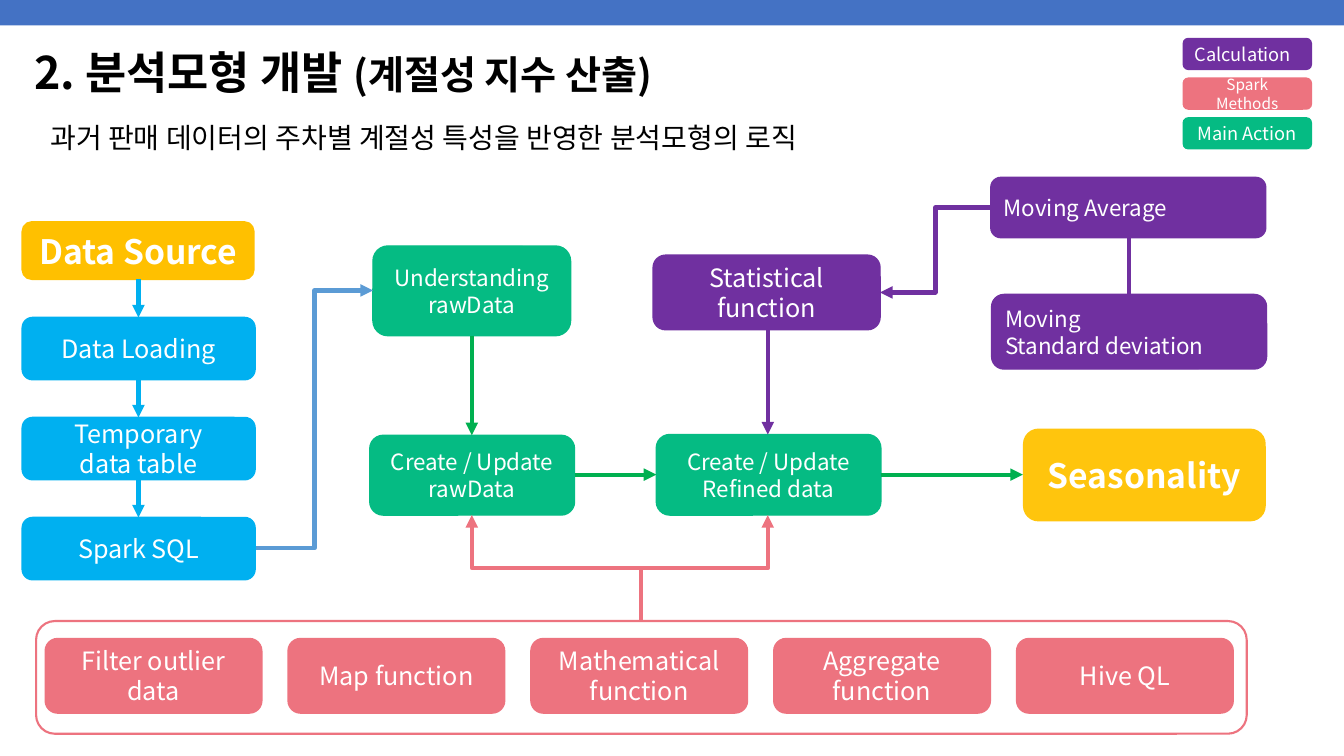
import pptx
import pptx.dml.color
import pptx.enum.shapes
import pptx.enum.text
import pptx.oxml
import pptx.oxml.ns
import pptx.util
from pptx.util import Cm

FONT = "Noto Sans CJK KR"
BLUE, SKY, PALE_BLUE = "4472C4", "00B0F0", "5B9BD5"
PURPLE, PINK, MINT, GREEN = "7030A0", "ED737F", "05BB83", "00B050"
AMBER, GOLD, WHITE, BLACK = "FFC000", "FFC50D", "FFFFFF", "000000"
LEFT = pptx.enum.text.PP_ALIGN.LEFT
CENTER = pptx.enum.text.PP_ALIGN.CENTER
PRESET = pptx.enum.shapes.MSO_SHAPE
ROUTE = pptx.enum.shapes.MSO_CONNECTOR


def rgb(color):
    """Turn a hex string into a colour."""
    return pptx.dml.color.RGBColor.from_string(color)


def style_paragraph(paragraph, size, color, bold=False, align=LEFT):
    """Set alignment and font of a paragraph, for Latin and Korean letters."""
    paragraph.alignment = align
    font = paragraph.font
    font.name = FONT
    font.bold = bold
    font.color.rgb = rgb(color)
    if size:
        font.size = pptx.util.Pt(size)
    latin = paragraph._p.find(".//" + pptx.oxml.ns.qn("a:latin"))
    namespace = pptx.oxml.ns.nsdecls("a")
    latin.addnext(pptx.oxml.parse_xml(f'<a:ea {namespace} typeface="{FONT}"/>'))


def add_block(slide, place, fill, outline=None, width=1, preset=PRESET.ROUNDED_RECTANGLE):
    """Add a preset shape with an optional fill and outline."""
    block = slide.shapes.add_shape(preset, *map(Cm, place))
    block.shadow.inherit = False
    if fill:
        block.fill.solid()
        block.fill.fore_color.rgb = rgb(fill)
    else:
        block.fill.background()
    if outline:
        block.line.color.rgb = rgb(outline)
        block.line.width = pptx.util.Pt(width)
    else:
        block.line.fill.background()
    return block


def add_step(slide, text, place, color, size=18, bold=False, align=CENTER, outlined=True):
    """Add a rounded box with a white label."""
    step = add_block(slide, place, color, color if outlined else None)
    frame = step.text_frame
    frame.word_wrap = True
    frame.vertical_anchor = pptx.enum.text.MSO_ANCHOR.MIDDLE
    frame.text = text
    for paragraph in frame.paragraphs:
        style_paragraph(paragraph, size, WHITE, bold, align)


def add_heading(slide, place, parts, bold, anchor):
    """Add one line of black text made of (text, size) parts."""
    frame = slide.shapes.add_textbox(*map(Cm, place)).text_frame
    frame.word_wrap = True
    frame.vertical_anchor = anchor
    paragraph = frame.paragraphs[0]
    paragraph.line_spacing = 0.9
    for text, size in parts:
        run = paragraph.add_run()
        run.text = text
        run.font.size = pptx.util.Pt(size)
    style_paragraph(paragraph, None, BLACK, bold)


def add_flow(slide, start, end, color, route=ROUTE.STRAIGHT, upright=False, arrow=True):
    """Add a flow line; an upright elbow leaves its start vertically."""
    if upright:
        cx, cy = (start[0] + end[0]) / 2, (start[1] + end[1]) / 2
        start, end = [(cx - y + cy, cy + x - cx) for x, y in (start, end)]
    flow = slide.shapes.add_connector(route, *map(Cm, (*start, *end)))
    flow.line.color.rgb = rgb(color)
    flow.line.width = pptx.util.Pt(3)
    properties = flow._element.spPr
    namespace = pptx.oxml.ns.nsdecls("a")
    if upright:
        properties.find(pptx.oxml.ns.qn("a:xfrm")).set("rot", "16200000")
    if arrow:
        line = properties.find(pptx.oxml.ns.qn("a:ln"))
        line.append(pptx.oxml.parse_xml(f'<a:tailEnd {namespace} type="triangle"/>'))
    properties.append(pptx.oxml.parse_xml(f"<a:effectLst {namespace}/>"))


def add_loading_column(slide):
    """Add the data source and the loading steps below it."""
    add_step(slide, "Data Source", (0.56, 5.59, 5.84, 1.45), AMBER, 24, True)
    bottom = 7.04
    for i, text in enumerate(("Data Loading", "Temporary\ndata table", "Spark SQL")):
        top = 8 + 2.52 * i
        add_step(slide, text, (0.56, top, 5.87, 1.57), SKY)
        add_flow(slide, (3.49, bottom), (3.49, top), SKY)
        bottom = top + 1.57


def add_model_steps(slide):
    """Add the calculation and main action boxes."""
    add_step(slide, "Understanding\nrawData", (9.4, 6.2, 4.98, 2.26), MINT, 16)
    add_step(slide, "Create / Update\nrawData", (9.32, 10.97, 5.16, 2.01), MINT, 16)
    add_step(slide, "Create / Update\nRefined data", (16.54, 10.95, 5.66, 2.03), MINT, 16)
    add_step(slide, "Statistical function", (16.46, 6.43, 5.72, 1.88), PURPLE)
    add_step(slide, "Moving Average", (24.97, 4.47, 6.93, 1.52), PURPLE, 16, align=LEFT)
    add_step(slide, "Moving\nStandard deviation", (24.99, 7.42, 6.93, 1.88), PURPLE, 16, align=LEFT)
    add_step(slide, "Seasonality", (25.78, 10.8, 6.12, 2.34), GOLD, 24, True, outlined=False)


def add_spark_methods(slide):
    """Add the framed row of Spark methods."""
    methods = ("Filter outlier data", "Map function", "Mathematical function",
               "Aggregate\nfunction", "Hive QL")
    for i, method in enumerate(methods):
        add_step(slide, method, (1.14 + 6.12 * i, 16.09, 5.46, 1.88), PINK)
    add_block(slide, (0.91, 15.65, 30.51, 2.84), None, PINK, 1.5)


def add_model_flows(slide):
    """Connect the boxes of the model."""
    add_flow(slide, (6.45, 13.82), (9.4, 7.32), PALE_BLUE, ROUTE.ELBOW)
    add_flow(slide, (11.89, 8.46), (11.89, 10.97), GREEN)
    add_flow(slide, (14.48, 11.96), (16.54, 11.96), GREEN)
    add_flow(slide, (22.2, 11.96), (25.78, 11.96), GREEN)
    add_flow(slide, (28.45, 5.99), (28.45, 7.42), PURPLE, arrow=False)
    add_flow(slide, (24.97, 5.23), (22.18, 7.37), PURPLE, ROUTE.ELBOW)
    add_flow(slide, (19.35, 8.29), (19.35, 10.95), PURPLE)
    for target in (11.89, 19.35):
        add_flow(slide, (16.15, 15.65), (target, 12.98), PINK, ROUTE.ELBOW, upright=True)


def add_legend(slide):
    """Add the colour key in the top right corner."""
    entries = (("Calculation", PURPLE, 13, LEFT), ("Spark Methods", PINK, 11, CENTER),
               ("Main Action", MINT, 13, CENTER))
    for i, (text, color, size, align) in enumerate(entries):
        add_step(slide, text, (29.82, 0.97 + i, 3.23, 0.78), color, size, align=align)


def main():
    """Build the seasonality model slide."""
    deck = pptx.Presentation()
    deck.slide_width, deck.slide_height = Cm(33.87), Cm(19.05)
    slide = deck.slides.add_slide(deck.slide_layouts[6])
    add_block(slide, (0, 0, 33.87, 0.64), BLUE, preset=PRESET.RECTANGLE)
    add_heading(slide, (0.61, 1.14, 18.24, 1.5),
                (("2. 분석모형 개발 ", 32), ("(계절성 지수 산출)", 28)),
                True, pptx.enum.text.MSO_ANCHOR.MIDDLE)
    add_heading(slide, (1.02, 3.02, 21.77, 0.81),
                (("과거 판매 데이터의 주차별 계절성 특성을 반영한 분석모형의 로직", 20),),
                False, pptx.enum.text.MSO_ANCHOR.TOP)
    add_loading_column(slide)
    add_model_steps(slide)
    add_spark_methods(slide)
    add_model_flows(slide)
    add_legend(slide)
    deck.save("out.pptx")


if __name__ == "__main__":
    main()
